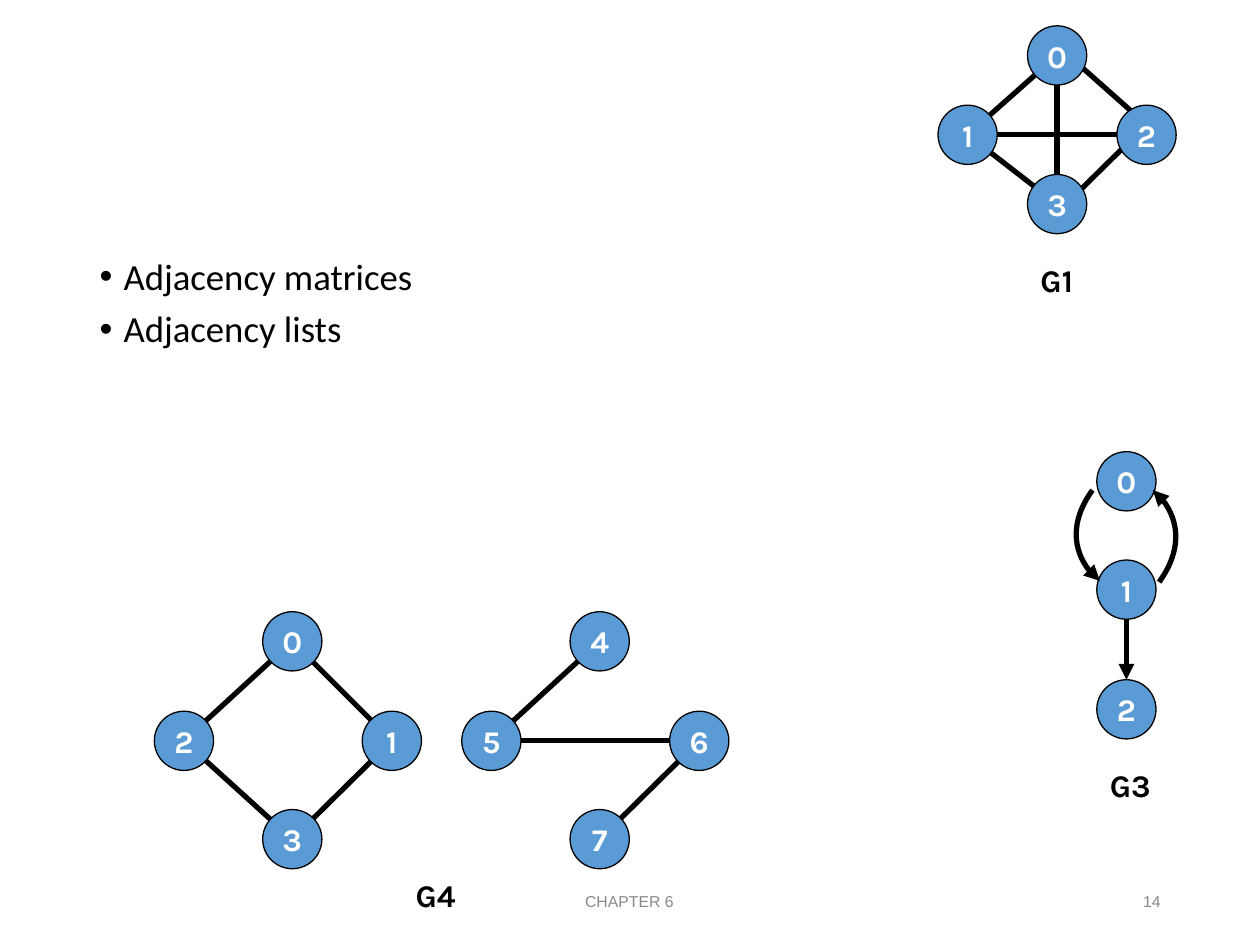
from pptx import Presentation
from pptx.dml.color import RGBColor
from pptx.enum.shapes import MSO_CONNECTOR, MSO_SHAPE
from pptx.enum.text import MSO_ANCHOR, MSO_AUTO_SIZE, PP_ALIGN
from pptx.oxml import parse_xml
from pptx.oxml.ns import nsdecls, qn
from pptx.util import Inches, Pt

BLACK = RGBColor(0x00, 0x00, 0x00)
WHITE = RGBColor(0xFF, 0xFF, 0xFF)
BLUE = RGBColor(0x5B, 0x9B, 0xD5)
GREY = RGBColor(0x89, 0x89, 0x89)

STRAIGHT = MSO_CONNECTOR.STRAIGHT
OVAL = MSO_SHAPE.OVAL
TOP, MIDDLE = MSO_ANCHOR.TOP, MSO_ANCHOR.MIDDLE
NO_AUTOFIT = MSO_AUTO_SIZE.NONE
LEFT, CENTER, RIGHT = PP_ALIGN.LEFT, PP_ALIGN.CENTER, PP_ALIGN.RIGHT

NODE_SIZE = 0.47
RADIUS = NODE_SIZE / 2
LABEL_WIDTH = 0.6
EDGE_WIDTH = Pt(3)
NO_SHIFT = (0, 0)

# Node number: centre of the node
G1_NODES = {0: (8.39, 0.44), 1: (7.68, 1.07), 2: (9.1, 1.07), 3: (8.39, 1.62)}
G3_NODES = {0: (8.94, 3.82), 1: (8.94, 4.68), 2: (8.94, 5.63)}
G4_NODES = {0: (2.32, 5.09), 1: (3.11, 5.88), 2: (1.46, 5.88), 3: (2.32, 6.66),
            4: (4.76, 5.09), 5: (3.9, 5.88), 6: (5.55, 5.88), 7: (4.76, 6.66)}

# Two nodes, with the shift of each edge end from its node's centre
UP, ASIDE = (0, -0.08), (0.07, 0)
G1_EDGES = [(0, 3, NO_SHIFT, NO_SHIFT), (1, 2, NO_SHIFT, NO_SHIFT),
            (0, 1, NO_SHIFT, NO_SHIFT), (1, 3, NO_SHIFT, NO_SHIFT),
            (0, 2, UP, UP), (2, 3, UP, ASIDE)]
G3_EDGES = [(1, 2, (0, RADIUS), (0, -RADIUS))]
G4_EDGES = [(first, second, NO_SHIFT, NO_SHIFT) for first, second in
            [(0, 2), (2, 3), (0, 1), (1, 3), (4, 5), (5, 6), (6, 7)]]

# Start, two control points and end of each curved arrow
G3_CURVES = [[(9.2, 4.62), (9.38, 4.37), (9.36, 4.05), (9.15, 3.89)],
             [(8.67, 3.89), (8.49, 4.14), (8.52, 4.46), (8.73, 4.61)]]


class GraphSlide:
    """Draws graphs and text on one slide in a single style."""

    def __init__(self, slide):
        self.slide = slide

    def style_text(self, paragraph, font_name, size, color, bold=False):
        for run in paragraph.runs:
            run.font.name = font_name
            run.font.size = Pt(size)
            run.font.color.rgb = color
            run.font.bold = bold

    def bullets(self, items, left, top, width, height):
        body = self.slide.placeholders[1]
        body.left, body.top = Inches(left), Inches(top)
        body.width, body.height = Inches(width), Inches(height)
        text_frame = body.text_frame
        text_frame.auto_size = NO_AUTOFIT
        text_frame.vertical_anchor = TOP
        text_frame.text = "\n".join(items)
        for index, paragraph in enumerate(text_frame.paragraphs):
            properties = paragraph._p.get_or_add_pPr()
            properties.set("marL", str(Inches(0.19)))
            properties.set("indent", str(-Inches(0.19)))
            paragraph.line_spacing = 0.9
            paragraph.space_before = Pt(7.5 if index else 0)
            self.style_text(paragraph, "Calibri", 21, BLACK)

    def text_box(self, shapes, text, left, top, width, alignment, anchor):
        box = shapes.add_textbox(Inches(left), Inches(top), Inches(width), Inches(0.4))
        box.text_frame.word_wrap = True
        box.text_frame.vertical_anchor = anchor
        box.text_frame.text = text
        paragraph = box.text_frame.paragraphs[0]
        paragraph.alignment = alignment
        return paragraph

    def footer(self, text, left, width, alignment):
        paragraph = self.text_box(self.slide.shapes, text, left, 6.95, width,
                                  alignment, MIDDLE)
        self.style_text(paragraph, "Arial", 9, GREY)

    def label(self, shapes, text, left, top):
        paragraph = self.text_box(shapes, text, left, top, LABEL_WIDTH, LEFT, TOP)
        self.style_text(paragraph, "Karla", 18, BLACK, bold=True)

    def node(self, shapes, number, center):
        x, y = center
        circle = shapes.add_shape(OVAL, Inches(x - RADIUS), Inches(y - RADIUS),
                                  Inches(NODE_SIZE), Inches(NODE_SIZE))
        circle.shadow.inherit = False
        circle.fill.solid()
        circle.fill.fore_color.rgb = BLUE
        circle.line.color.rgb = BLACK
        circle.line.width = Pt(0.75)
        text_frame = circle.text_frame
        text_frame.word_wrap = False
        text_frame.vertical_anchor = MIDDLE
        text_frame.text = str(number)
        text_frame.paragraphs[0].alignment = CENTER
        self.style_text(text_frame.paragraphs[0], "Karla", 18, WHITE, bold=True)

    def style_line(self, line, arrow):
        line.color.rgb = BLACK
        line.width = EDGE_WIDTH
        if arrow:
            line._get_or_add_ln().append(
                parse_xml(f'<a:tailEnd {nsdecls("a")} type="triangle"/>'))

    def edge(self, shapes, start, end, arrow):
        connector = shapes.add_connector(STRAIGHT, *map(Inches, start + end))
        self.style_line(connector.line, arrow)
        connector._element.spPr.append(parse_xml(f'<a:effectLst {nsdecls("a")}/>'))

    def curved_arrow(self, shapes, points):
        start, *others = [(Inches(x), Inches(y)) for x, y in points]
        builder = shapes.build_freeform(*start)
        builder.add_line_segments(others, close=False)
        curve = builder.convert_to_shape()
        # The builder makes straight segments only: join them into one Bezier curve
        outline = curve._element.spPr.find(".//" + qn("a:path"))
        bezier = parse_xml(f'<a:cubicBezTo {nsdecls("a")}/>')
        for segment in outline.findall(qn("a:lnTo")):
            bezier.append(segment[0])
            outline.remove(segment)
        outline.append(bezier)
        curve.shadow.inherit = False
        curve.fill.background()
        self.style_line(curve.line, arrow=True)

    def graph(self, name, label_position, nodes, edges, curves=(), directed=False):
        shapes = self.slide.shapes.add_group_shape().shapes
        for first, second, first_shift, second_shift in edges:
            start, end = [(nodes[number][0] + shift[0], nodes[number][1] + shift[1])
                          for number, shift in ((first, first_shift), (second, second_shift))]
            self.edge(shapes, start, end, directed)
        for number, center in nodes.items():
            self.node(shapes, number, center)
        for points in curves:
            self.curved_arrow(shapes, points)
        self.label(shapes, name, *label_position)


def main():
    presentation = Presentation()
    presentation.slide_width = Inches(10)
    presentation.slide_height = Inches(7.5)
    slide = presentation.slides.add_slide(presentation.slide_layouts[1])
    title = slide.shapes.title._element
    title.getparent().remove(title)

    page = GraphSlide(slide)
    page.bullets(["Adjacency matrices", "Adjacency lists"], 0.69, 2, 8.63, 4.76)
    page.footer("CHAPTER 6", 3.31, 3.37, CENTER)
    page.footer("14", 7.06, 2.25, RIGHT)
    page.graph("G1", (8.16, 2.02), G1_NODES, G1_EDGES)
    page.graph("G3", (8.71, 6.03), G3_NODES, G3_EDGES, G3_CURVES, directed=True)
    page.graph("G4", (3.2, 6.9), G4_NODES, G4_EDGES)
    presentation.save("out.pptx")


if __name__ == "__main__":
    main()
